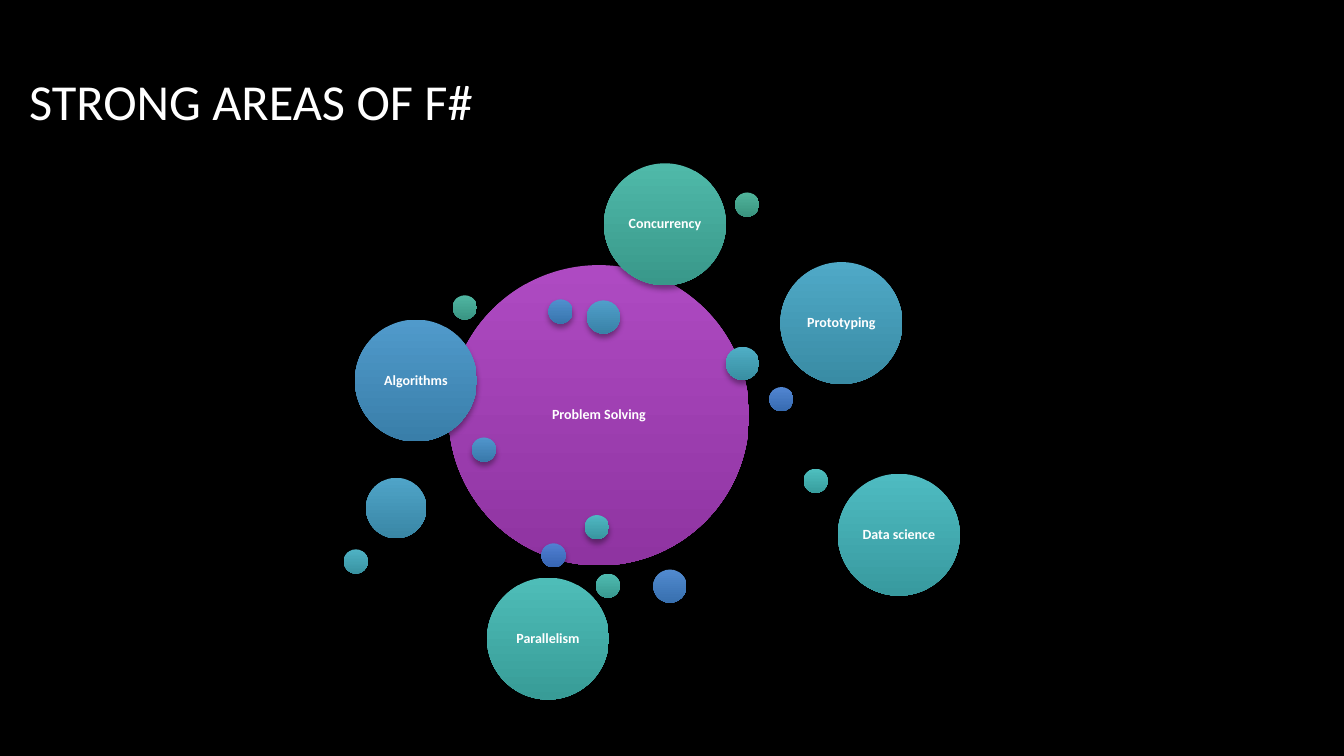
from pptx import Presentation
from pptx.dml.color import RGBColor
from pptx.enum.shapes import MSO_SHAPE as SHAPE
from pptx.enum.text import MSO_ANCHOR as ANCHOR, PP_ALIGN as ALIGN
from pptx.oxml import parse_xml
from pptx.oxml.ns import nsdecls, qn
from pptx.util import Inches, Pt

DOT, BALL, MOON, TOPIC, CORE = 0.24, 0.33, 0.6, 1.21, 2.98

# left, top, diameter, top colour, bottom colour, label; back to front
BUBBLES = [
    (4.45, 2.63, CORE, "AE4AC2", "8F34A1", "Problem Solving"),
    (5.37, 5.39, DOT, "5180D2", "3665B3", ""),
    (7.63, 3.84, DOT, "5185D1", "376BB1", ""),
    (6.48, 5.65, BALL, "518ACF", "3870AF", ""),
    (5.44, 2.97, DOT, "5090CE", "3875AD", ""),
    (4.68, 4.34, DOT, "5095CC", "3979AB", ""),
    (3.52, 3.17, TOPIC, "509ACB", "397EA9", "Algorithms"),
    (5.82, 2.98, BALL, "509FCA", "3982A7", ""),
    (3.63, 4.74, MOON, "4FA4C8", "3986A5", ""),
    (7.74, 2.6, TOPIC, "4FA9C7", "398BA4", "Prototyping"),
    (7.2, 3.44, BALL, "4FAEC5", "398FA3", ""),
    (3.41, 5.45, DOT, "4FB2C4", "3993A2", ""),
    (5.8, 5.11, DOT, "4FB7C2", "3996A0", ""),
    (8.31, 4.7, TOPIC, "4EBBC1", "389A9F", "Data science"),
    (7.97, 4.65, DOT, "4EBFBF", "389E9E", ""),
    (4.83, 5.73, TOPIC, "4EBDB8", "389C97", "Parallelism"),
    (5.91, 5.69, DOT, "4FBBB0", "399A91", ""),
    (5.99, 1.62, TOPIC, "4FB9A9", "39988A", "Concurrency"),
    (4.49, 2.93, DOT, "50B6A2", "3A9684", ""),
    (7.29, 1.91, DOT, "50B49B", "3A947F", ""),
]


def rgb(color):
    return RGBColor.from_string(color)


def set_attrs(obj, formats):
    for name, value in formats.items():
        setattr(obj, name, value)


def write_text(sp, text, size, bold, align, inset):
    tf = sp.text_frame
    set_attrs(tf, {"word_wrap": True, "vertical_anchor": ANCHOR.MIDDLE,
                   "margin_left": inset, "margin_right": inset,
                   "margin_top": inset, "margin_bottom": inset})
    p = tf.paragraphs[0]
    set_attrs(p, {"alignment": align, "line_spacing": 0.9})
    r = p.add_run()
    r.text = text
    set_attrs(r.font, {"name": "Calibri", "size": Pt(size), "bold": bold})
    r.font.color.rgb = rgb("FFFFFF")


def add_shadow(sp):
    sp.shadow.inherit = False
    effects = sp._element.spPr.find(qn("a:effectLst"))
    effects.append(parse_xml(
        f'<a:outerShdw {nsdecls("a")} blurRad="{Pt(4)}" dist="{Pt(3)}" '
        'dir="5400000" algn="ctr" rotWithShape="0"><a:srgbClr val="000000">'
        '<a:alpha val="35000"/></a:srgbClr></a:outerShdw>'))


def add_bubble(shapes, left, top, size, light, dark, label):
    sp = shapes.add_shape(SHAPE.OVAL, Inches(left), Inches(top),
                          Inches(size), Inches(size))
    sp.fill.gradient()
    sp.fill.gradient_angle = 270
    for stop, color in zip(sp.fill.gradient_stops, (light, dark)):
        stop.color.rgb = rgb(color)
    sp.line.fill.background()
    add_shadow(sp)
    if label:
        write_text(sp, label, 10, True, ALIGN.CENTER, Inches(0.04))


def add_title(slide, text):
    sp = slide.shapes.add_textbox(Inches(0.19), Inches(0.13),
                                  Inches(11.41), Inches(1.8))
    write_text(sp, text, 36, False, ALIGN.LEFT, Inches(0.1))


def main():
    prs = Presentation()
    set_attrs(prs, {"slide_width": Inches(13.33), "slide_height": Inches(7.5)})
    slide = prs.slides.add_slide(prs.slide_layouts[6])

    # Background and title
    fill = slide.background.fill
    fill.solid()
    fill.fore_color.rgb = rgb("000000")
    add_title(slide, "STRONG AREAS OF F#")

    # Bubble diagram
    diagram = slide.shapes.add_group_shape()
    for bubble in BUBBLES:
        add_bubble(diagram.shapes, *bubble)

    prs.save("out.pptx")


if __name__ == "__main__":
    main()
